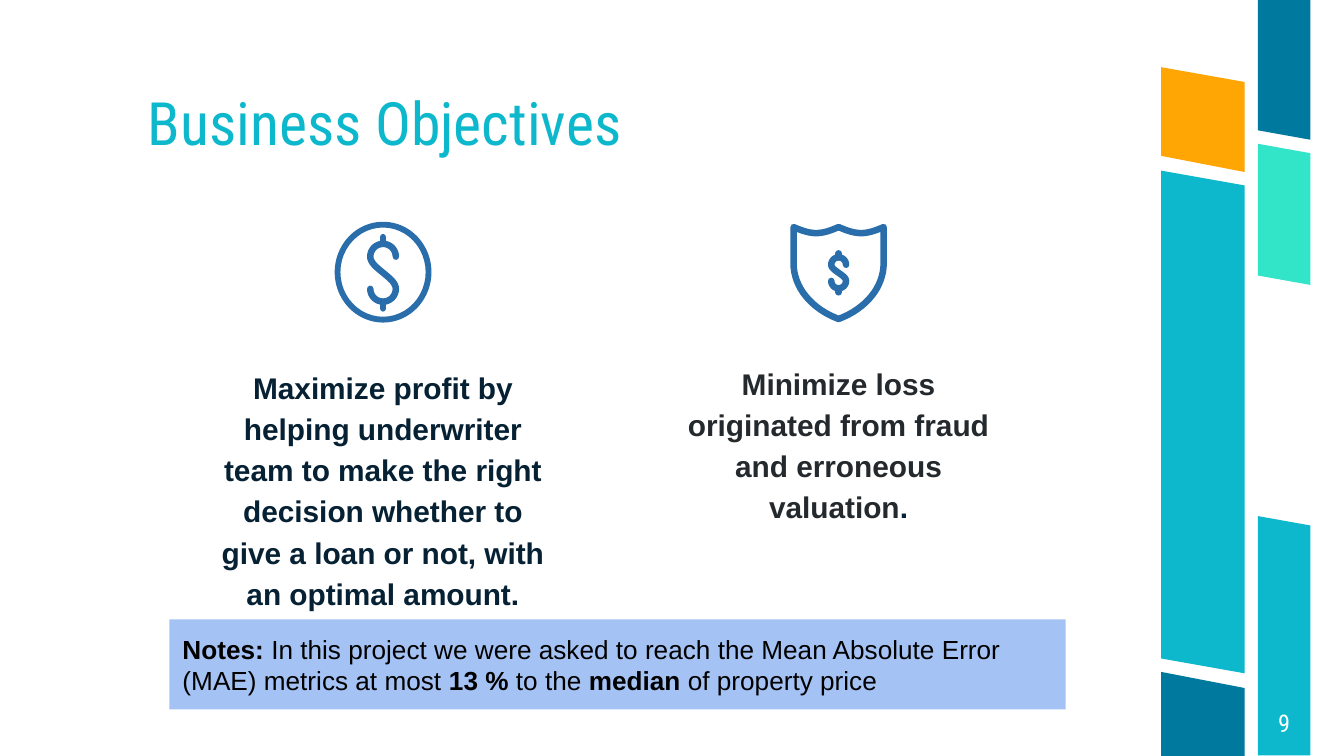
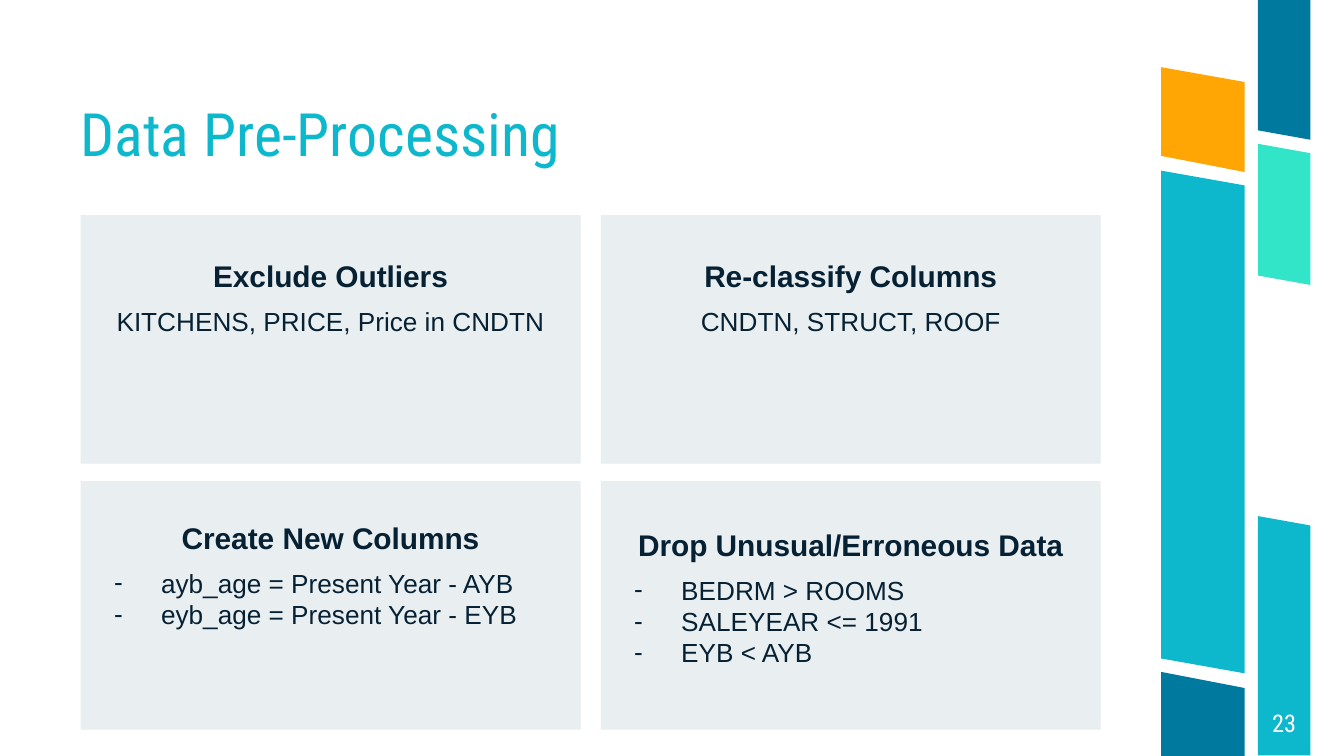
from math import cos, pi, radians, sin

from lxml import etree
from pptx import Presentation
from pptx.dml.color import RGBColor
from pptx.enum.shapes import MSO_SHAPE
from pptx.enum.text import MSO_ANCHOR, PP_ALIGN
from pptx.oxml.ns import qn
from pptx.util import Inches, Pt

LEFT, CENTER = PP_ALIGN.LEFT, PP_ALIGN.CENTER
TOP, MIDDLE, BOTTOM = MSO_ANCHOR.TOP, MSO_ANCHOR.MIDDLE, MSO_ANCHOR.BOTTOM
RECTANGLE, DONUT = MSO_SHAPE.RECTANGLE, MSO_SHAPE.DONUT

TITLE_FONT, BODY_FONT = "Roboto Condensed", "Arial"
TEAL, MINT, BLUE, ORANGE = "0DB8CC", "32E4C8", "00799E", "FFA604"
WHITE, BLACK, NAVY, CHARCOAL = "FFFFFF", "000000", "062133", "24292E"
ICON_BLUE, NOTE_BLUE, CARD_GRAY = "296EAA", "A4C2F4", "E9EEF0"
ICON_LINE = Pt(3.5)
color = RGBColor.from_string


def add_path(page, strokes, fill=None, line=None):
    """Draw point lists in inches as one filled outline or one round-capped line."""
    builder = None
    for stroke in strokes:
        points = [(Inches(x), Inches(y)) for x, y in stroke]
        if builder is None:
            builder = page.shapes.build_freeform(*points[0])
        else:
            builder.move_to(*points[0])
        builder.add_line_segments(points[1:], close=fill is not None)
    shape = builder.convert_to_shape()
    shape.shadow.inherit = False
    if fill:
        shape.fill.solid()
        shape.fill.fore_color.rgb = color(fill)
        shape.line.fill.background()
    else:
        shape.fill.background()
        shape.line.color.rgb = color(line)
        shape.line.width = ICON_LINE
        outline = shape.line._get_or_add_ln()
        outline.set("cap", "rnd")
        etree.SubElement(outline, qn("a:round"))


def add_text(box, paragraphs, font=BODY_FONT, inset=0.1, anchor=TOP):
    """Write paragraphs; each run is (text, size, colour, bold)."""
    frame = box.text_frame
    frame.word_wrap = True
    frame.vertical_anchor = anchor
    frame.margin_left = frame.margin_right = Inches(inset)
    frame.margin_top = frame.margin_bottom = Inches(inset)
    for index, item in enumerate(paragraphs):
        para = frame.add_paragraph() if index else frame.paragraphs[0]
        para.alignment = item.get("align", LEFT)
        if item.get("bullet"):
            properties = para._p.get_or_add_pPr()
            properties.set("marL", str(Inches(0.5)))
            properties.set("indent", str(Inches(-0.35)))
            bullet_color = etree.SubElement(properties, qn("a:buClr"))
            etree.SubElement(bullet_color, qn("a:srgbClr"), val=NAVY)
            etree.SubElement(properties, qn("a:buSzPts"), val="1400")
            etree.SubElement(properties, qn("a:buFont"), typeface=font)
            etree.SubElement(properties, qn("a:buChar"), char="-")
        para.line_spacing = item.get("spacing", 1.0)
        para.space_before = Pt(item.get("before", 0))
        para.space_after = Pt(item.get("after", 0))
        for text, size, ink, bold in item["runs"]:
            span = para.add_run()
            span.text = text
            span.font.name = font
            span.font.size = Pt(size)
            span.font.bold = bold
            span.font.color.rgb = color(ink)


# Widescreen deck, 16:9
deck = Presentation()
deck.slide_width = Inches(10)
deck.slide_height = Inches(10) * 9 // 16

# Shared frame: slanted side bands, title, page number
# Each band: left, right, top left, top right, bottom right, bottom left
BANDS = [
    (9.36, 9.75, 3.84, 3.91, 5.62, 5.62, TEAL),
    (9.36, 9.75, 1.07, 1.14, 2.12, 2.05, MINT),
    (9.36, 9.75, 0, 0, 1.04, 0.97, BLUE),
    (8.64, 9.26, 0.5, 0.61, 1.28, 1.16, ORANGE),
    (8.64, 9.26, 5, 5.12, 5.63, 5.63, BLUE),
    (8.64, 9.26, 1.27, 1.38, 5.01, 4.9, TEAL),
]
FRAMES = [
    ("Business Objectives", (1.1, 0.56, 6.6, 0.75), MIDDLE, "9"),
    ("Data Pre-Processing", (0.6, 0.83, 6.68, 0.43), BOTTOM, "23"),
]
pages = []
for title, place, anchor, number in FRAMES:
    page = deck.slides.add_slide(deck.slide_layouts[6])
    page.background.fill.solid()
    page.background.fill.fore_color.rgb = color(WHITE)
    for left, right, top_left, top_right, low_right, low_left, fill in BANDS:
        corners = [(left, top_left), (right, top_right),
                   (right, low_right), (left, low_left)]
        add_path(page, [corners], fill=fill)
    box = page.shapes.add_textbox(*map(Inches, place))
    add_text(box, [{"runs": [(title, 32, TEAL, False)], "spacing": 0.9}],
             TITLE_FONT, 0, anchor)
    box = page.shapes.add_textbox(*map(Inches, (9.36, 5.13, 0.39, 0.5)))
    add_text(box, [{"runs": [(number, 13, WHITE, False)], "align": CENTER}],
             TITLE_FONT, 0, MIDDLE)
    pages.append(page)
objectives, processing = pages

# Objectives: two statements
STATEMENTS = [
    ((1.52, 2.61, 2.66, 1.71),
     [("Maximize profit by helping underwriter team to make the right decision "
       "whether to give a loan or not, with an optimal amount.", 16, NAVY, True)]),
    ((4.91, 2.58, 2.66, 1.09),
     [("Minimize loss originated from fraud and erroneous valuation", 16, CHARCOAL, True),
      (".", 16, NAVY, True)]),
]
for place, runs in STATEMENTS:
    box = objectives.shapes.add_textbox(*map(Inches, place))
    add_text(box, [{"runs": runs, "align": CENTER, "spacing": 1.15, "after": 12}])

# Objectives: note
note = objectives.shapes.add_shape(RECTANGLE, *map(Inches, (1.26, 4.61, 6.67, 0.67)))
note.shadow.inherit = False
note.fill.solid()
note.fill.fore_color.rgb = color(NOTE_BLUE)
note.line.fill.background()
NOTE = [
    ("Notes:", True),
    (" In this project we were asked to reach the Mean Absolute Error (MAE) "
     "metrics at most ", False),
    ("13 %", True),
    (" to the ", False),
    ("median", True),
    (" of property price", False),
]
add_text(note, [{"runs": [(text, 14, BLACK, bold) for text, bold in NOTE]}])

# Objectives: coin ring
ring = objectives.shapes.add_shape(DONUT, *map(Inches, (2.49, 1.65, 0.72, 0.75)))
ring.adjustments[0] = 0.06
ring.shadow.inherit = False
ring.fill.solid()
ring.fill.fore_color.rgb = color(ICON_BLUE)
ring.line.fill.background()

# Objectives: shield, its right half mirrored about the middle
middle, half = 6.24, 0.335
scallop = [(middle + half * step / 12, 1.69 + 0.045 * sin(pi * step / 12))
           for step in range(13)]
flank = [(5.98 + 0.595 * cos(radians(angle)), 1.96 + 0.46 * sin(radians(angle)))
         for angle in range(0, 65, 4)]
right_side = scallop + flank
left_side = [(2 * middle - x, y) for x, y in reversed(right_side)]
add_path(objectives, [right_side + left_side], line=ICON_BLUE)

# Objectives: dollar signs
# Each sign: centre, radius, upper and lower arc centres, stub length
for center, radius, upper, lower, stub in [(2.85, 0.095, 1.91, 2.15, 0.05),
                                           (6.24, 0.055, 1.97, 2.09, 0.03)]:
    turns = [pi * step / 16 for step in range(17)]
    curve = [(center + radius * cos(turn), upper - radius * sin(turn)) for turn in turns]
    curve += [(center - radius * cos(turn), upper + (lower - upper) * turn / pi)
              for turn in turns]
    curve += [(center + radius * cos(turn), lower + radius * sin(turn)) for turn in turns]
    top, bottom = upper - radius, lower + radius
    add_path(objectives, [curve, [(center, top), (center, top - stub)],
                          [(center, bottom), (center, bottom + stub)]], line=ICON_BLUE)

# Processing: two by two cards
# Each card: heading, text top, text height, lines, bulleted
CARDS = [
    ("Exclude Outliers", 1.82, 1.21, ["KITCHENS, PRICE, Price in CNDTN"], False),
    ("Re-classify Columns", 1.82, 1.03, ["CNDTN, STRUCT, ROOF"], False),
    ("Create New Columns", 3.77, 1.21,
     ["ayb_age = Present Year - AYB", "eyb_age = Present Year - EYB"], True),
    ("Drop Unusual/Erroneous Data", 3.82, 1.38,
     ["BEDRM > ROOMS", "SALEYEAR <= 1991", "EYB < AYB"], True),
]
for index, (heading, text_top, text_height, lines, bulleted) in enumerate(CARDS):
    row, column = divmod(index, 2)
    left, top = 0.6 + 3.87 * column, 1.6 + 1.98 * row
    card = processing.shapes.add_shape(RECTANGLE, *map(Inches, (left, top, 3.72, 1.85)))
    card.shadow.inherit = False
    card.fill.solid()
    card.fill.fore_color.rgb = color(CARD_GRAY)
    card.line.fill.background()
    paragraphs = [{"runs": [(heading, 16, NAVY, True)], "align": CENTER}]
    for position, line in enumerate(lines):
        paragraphs.append({
            "runs": [(line, 14, NAVY, False)],
            "align": LEFT if bulleted else CENTER,
            "bullet": bulleted,
            "before": 0 if position else 6,
            "after": 0 if bulleted else 6,
        })
    box = processing.shapes.add_textbox(*map(Inches, (left, text_top, 3.72, text_height)))
    add_text(box, paragraphs)

deck.save("out.pptx")
